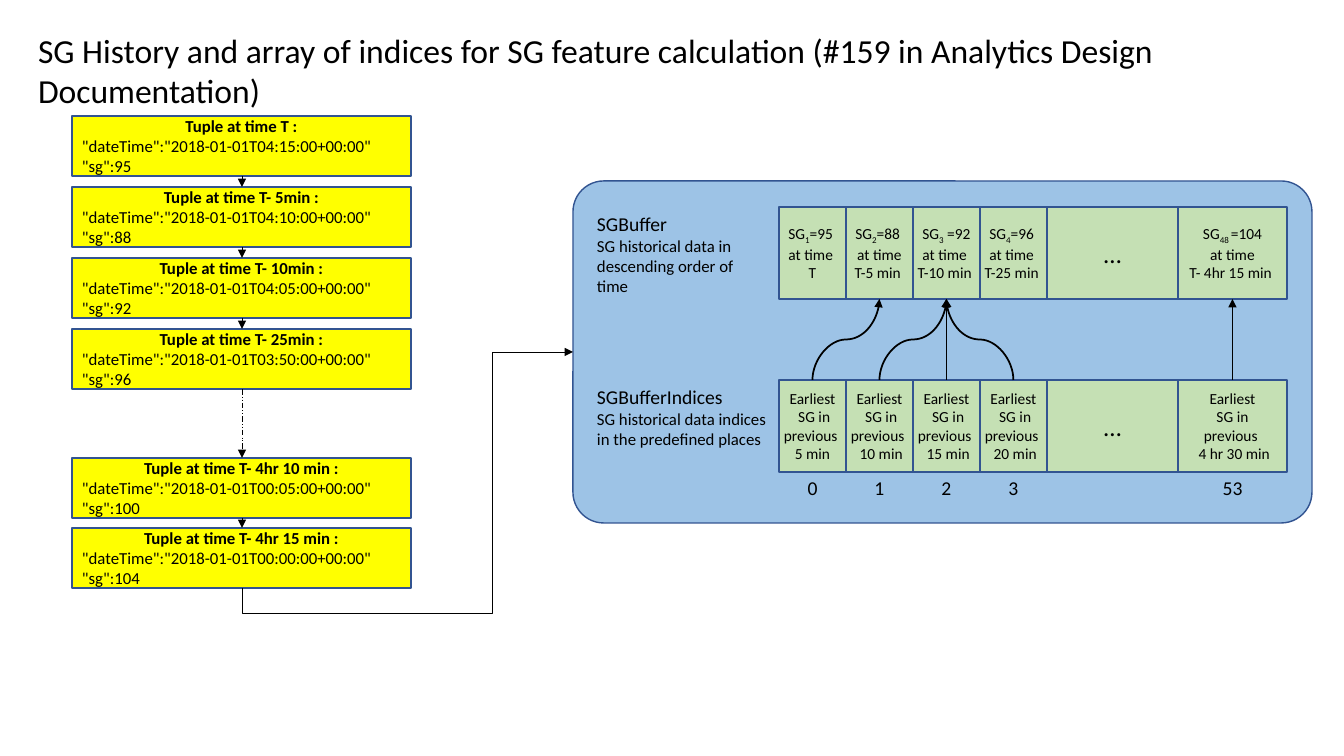
from lxml import etree
from pptx import Presentation
from pptx.dml.color import RGBColor
from pptx.enum.dml import MSO_LINE
from pptx.enum.shapes import MSO_CONNECTOR, MSO_SHAPE
from pptx.enum.text import MSO_ANCHOR, MSO_AUTO_SIZE, PP_ALIGN
from pptx.oxml.ns import qn
from pptx.util import Pt

SCALE = 914400 / 100.8
LEFT, CENTER = PP_ALIGN.LEFT, PP_ALIGN.CENTER


def px(*lengths):
    return [round(length * SCALE) for length in lengths]


def color(value):
    return RGBColor.from_string(value)


def write(shape, lines, size=12, align=LEFT, head_size=None, head_align=None,
          head_bold=False, anchor=MSO_ANCHOR.TOP, side_inset=10):
    """Write one paragraph per line; text between bars is subscript."""
    frame = shape.text_frame
    frame.word_wrap = True
    frame.auto_size = MSO_AUTO_SIZE.NONE
    frame.vertical_anchor = anchor
    frame.margin_left = frame.margin_right = px(side_inset)[0]
    frame.margin_top = frame.margin_bottom = px(5)[0]
    for row, line in enumerate(lines):
        para = frame.paragraphs[0] if row == 0 else frame.add_paragraph()
        para.alignment = head_align if row == 0 and head_align else align
        para.line_spacing = 1.0
        for part, text in enumerate(line.split("|")):
            span = para.add_run()
            span.text = text
            span.font.name = "Calibri"
            span.font.size = Pt(head_size if row == 0 and head_size else size)
            span.font.bold = head_bold and row == 0
            span.font.color.rgb = color("000000")
            if part % 2:
                span.font._element.set("baseline", "-25000")


deck = Presentation()
deck.slide_width, deck.slide_height = px(1344, 756)
page = deck.slides.add_slide(deck.slide_layouts[5])


# One helper for boxes, one for arrows
def add_box(kind, area, fill):
    box = page.shapes.add_shape(kind, *px(*area))
    box.shadow.inherit = False
    box.fill.solid()
    box.fill.fore_color.rgb = color(fill)
    box.line.color.rgb = color("325491")
    box.line.width = Pt(1)
    return box


def add_arrow(kind, start, end, width, upright=False):
    """Draw an arrow; upright ones are turned so that they leave vertically."""
    (x1, y1), (x2, y2) = start, end
    if upright:
        mid_x, mid_y = (x1 + x2) / 2, (y1 + y2) / 2
        half_x, half_y = (x2 - x1) / 2, (y2 - y1) / 2
        x1, y1 = mid_x - half_y, mid_y + half_x
        x2, y2 = mid_x + half_y, mid_y - half_x
    arrow = page.shapes.add_connector(kind, *px(x1, y1, x2, y2))
    arrow.line.color.rgb = color("000000")
    arrow.line.width = Pt(width)
    properties = arrow._element.spPr
    if upright:
        properties.find(qn("a:xfrm")).set("rot", "5400000")
    outline = properties.find(qn("a:ln"))
    etree.SubElement(outline, qn("a:tailEnd")).set("type", "triangle")
    etree.SubElement(properties, qn("a:effectLst"))
    return arrow


# Title
title = page.shapes.title
title.left, title.top, title.width, title.height = px(28, 25, 1283, 92)
write(title, ["SG History and array of indices for SG feature calculation "
              "(#159 in Analytics Design Documentation)"], size=24)

# Buffer panel with its two captions
panel = add_box(MSO_SHAPE.ROUNDED_RECTANGLE, (573, 181, 739, 342), "9DC3E6")
panel.adjustments[0] = 0.09
captions = [
    ((587, 207, 174, 94), ["SGBuffer", "SG historical data in descending order of time"]),
    ((587, 380, 192, 75), ["SGBufferIndices", "SG historical data indices in the predefined places"]),
]
for area, lines in captions:
    write(page.shapes.add_textbox(*px(*area)), lines, head_size=14)

# Buffer and index cells: four equal columns, a gap column, the last column
columns = [(779 + 67 * column, 67) for column in range(4)] + [(1047, 131), (1178, 109)]
centers = [left + width / 2 for left, width in columns]
buffer_cells = [
    ["SG|1|=95 ", "at time ", "T"],
    ["SG|2|=88 ", "at time", "T-5 min "],
    ["SG|3| =92", "at time ", "T-10 min "],
    ["SG|4|=96 ", "at time ", "T-25 min "],
    ["…"],
    ["SG|48 |=104", "at time", "T- 4hr 15 min "],
]
index_cells = [["Earliest", " SG in previous ", span]
               for span in ("5 min", " 10 min", " 15 min", " 20 min")]
index_cells += [["…"], ["Earliest", " SG in ", "previous ", " 4 hr 30 min"]]
for top, cells in ((207, buffer_cells), (380, index_cells)):
    for (left, width), lines in zip(columns, cells):
        cell = add_box(MSO_SHAPE.RECTANGLE, (left, top, width, 92), "C5E0B4")
        write(cell, lines, size=18 if lines == ["…"] else 11, align=CENTER,
              anchor=MSO_ANCHOR.MIDDLE, side_inset=0)

# Index numbers
for column, number in enumerate(["0", "1", "2", "3", None, "53"]):
    if number:
        left, width = columns[column]
        label = page.shapes.add_textbox(*px(left, 471, width, 34))
        write(label, [number], size=14, align=CENTER)

# Arrows from index cells to buffer cells
for source, target in ((0, 1), (1, 2), (2, 2), (3, 2), (5, 5)):
    add_arrow(MSO_CONNECTOR.CURVE, (centers[source], 380), (centers[target], 299),
              1.25, upright=True)

# Tuples
tuples = [
    (116, "T", "2018-01-01T04:15", 95),
    (187, "T- 5min", "2018-01-01T04:10", 88),
    (258, "T- 10min", "2018-01-01T04:05", 92),
    (329, "T- 25min", "2018-01-01T03:50", 96),
    (458, "T- 4hr 10 min", "2018-01-01T00:05", 100),
    (528, "T- 4hr 15 min", "2018-01-01T00:00", 104),
]
for top, time, stamp, value in tuples:
    box = add_box(MSO_SHAPE.RECTANGLE, (72, top, 339, 60), "FFFF00")
    write(box, [f"Tuple at time {time} :", f'"dateTime":"{stamp}:00+00:00"', f'"sg":{value}'],
          head_align=CENTER, head_bold=True, anchor=MSO_ANCHOR.MIDDLE)

# Arrows between tuples; the long gap is dashed
tops = [entry[0] for entry in tuples]
for top, following in zip(tops, tops[1:]):
    arrow = add_arrow(MSO_CONNECTOR.STRAIGHT, (242, top + 60), (242, following), 0.5)
    if following - top > 100:
        arrow.line.dash_style = MSO_LINE.DASH_DOT_DOT

# Bent arrow from the last tuple to the panel
feed = add_arrow(MSO_CONNECTOR.ELBOW, (242, 588), (573, 352), 0.5, upright=True)
geometry = feed._element.spPr.find(qn("a:prstGeom"))
geometry.set("prst", "bentConnector4")
guides = geometry.find(qn("a:avLst"))
for name, value in (("adj1", -10700), ("adj2", 75700)):
    guide = etree.SubElement(guides, qn("a:gd"))
    guide.set("name", name)
    guide.set("fmla", f"val {value}")

deck.save("out.pptx")
